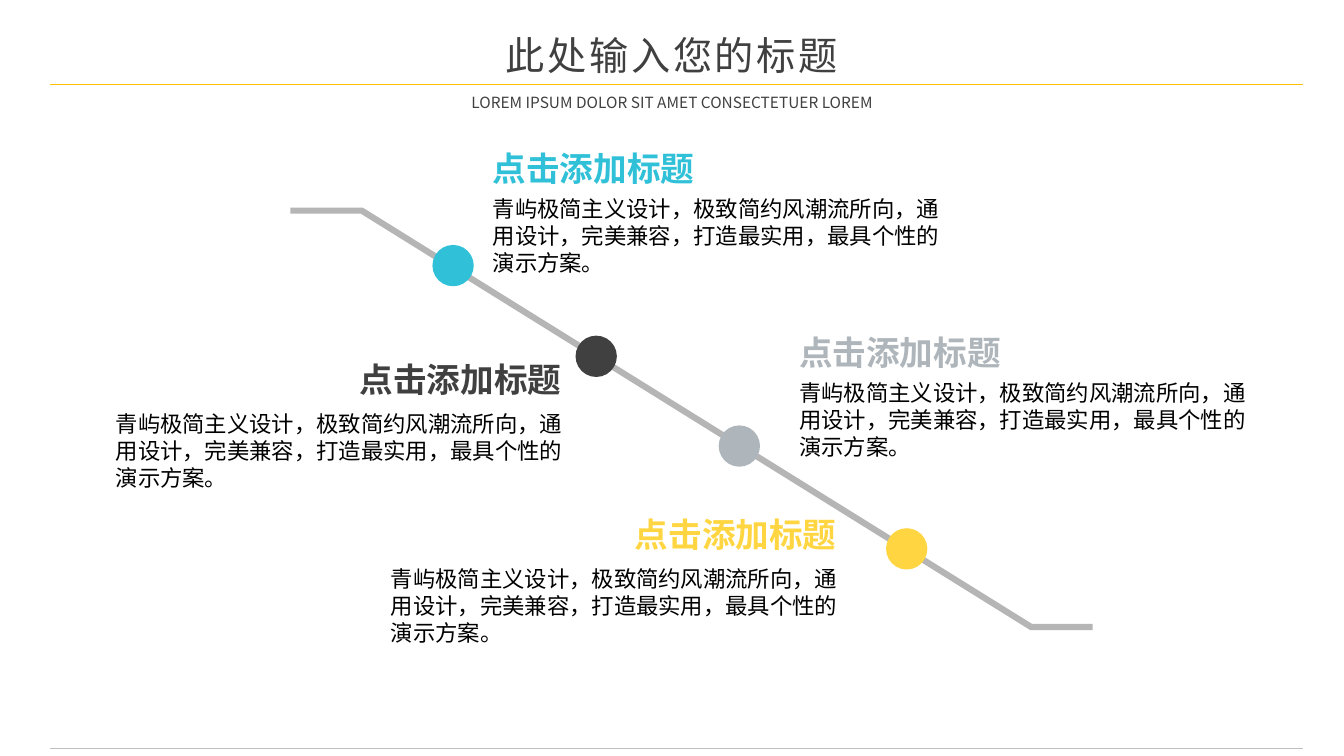
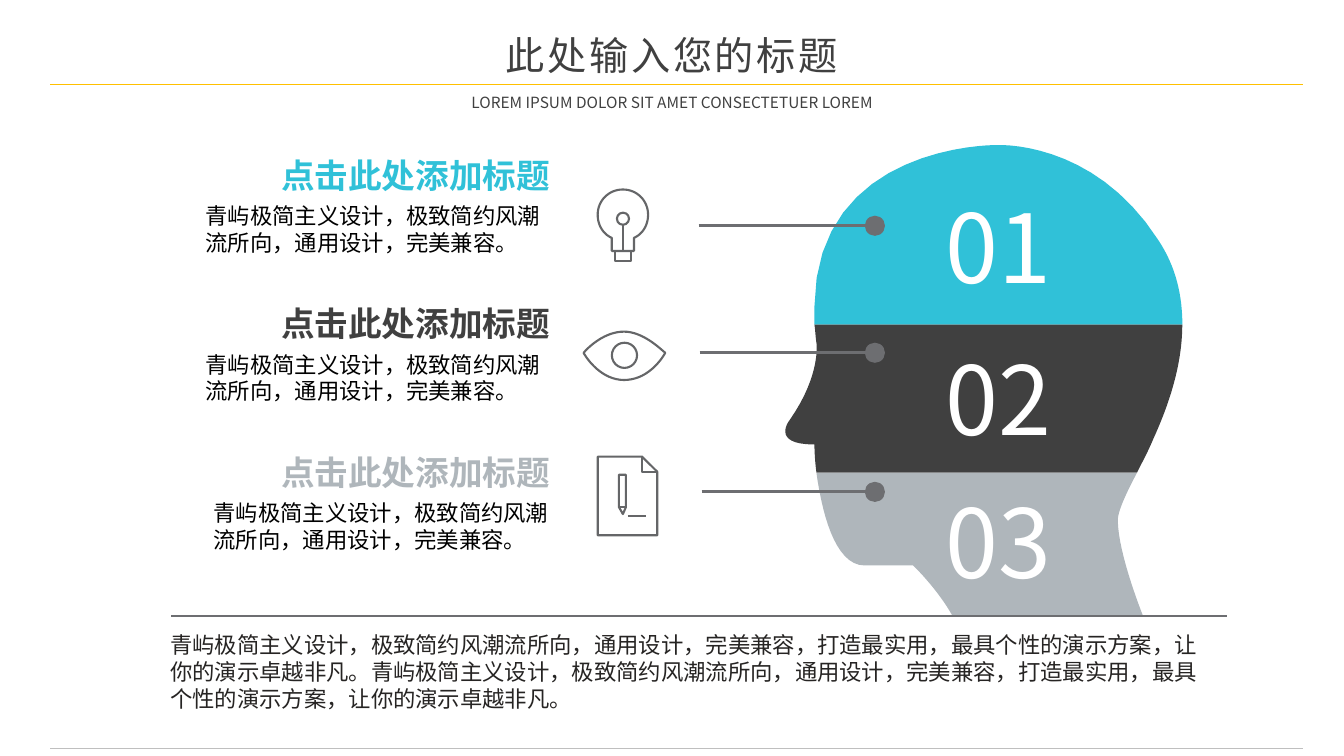
from lxml import etree
from pptx import Presentation
from pptx import util as u
from pptx.dml.color import RGBColor
from pptx.enum import shapes, text
from pptx.oxml.ns import qn

PX = 9144  # 100 px to the inch
COLORS = {
    "cyan": "30C1D8", "dark": "404040", "silver": "AFB6BB", "yellow": "FFD641",
    "amber": "FFC000", "rule": "BFBFBF", "path": "B5B5B6", "pointer": "6D6E71",
    "icon": "656668", "black": "000000", "ink": "262423", "white": "FFFFFF",
}
BODY_FONT, HEADING_FONT = "Noto Sans CJK SC", "Quicksand"
CURVE_STEPS = 16
ICON_WIDTH = 1.5


def paint(shape, fill=None, edge=None):
    """Give a shape a flat fill or a plain outline, and no shadow."""
    shape.shadow.inherit = False
    if fill:
        shape.fill.solid()
        shape.fill.fore_color.rgb = RGBColor.from_string(COLORS[fill])
    else:
        shape.fill.background()
    if edge:
        shape.line.color.rgb = RGBColor.from_string(COLORS[edge])
        shape.line.width = u.Pt(ICON_WIDTH)
    else:
        shape.line.fill.background()


def write(box, words, size, color, font=BODY_FONT, bold=False, wrap=True,
          align=text.PP_ALIGN.LEFT, spacing=0):
    """Put one formatted run into a box."""
    frame = box.text_frame
    frame.auto_size = text.MSO_AUTO_SIZE.NONE
    frame.word_wrap = wrap
    para = frame.paragraphs[0]
    para.alignment = align
    span = para.add_run()
    span.text = words
    span.font.size = u.Pt(size)
    span.font.bold = bold
    span.font.name = font
    span.font.color.rgb = RGBColor.from_string(COLORS[color])
    properties = span.font._element
    etree.SubElement(properties, qn("a:ea")).set("typeface", font)
    if spacing:
        properties.set("spc", str(spacing * 100))


deck = Presentation()
deck.slide_width, deck.slide_height = u.Emu(12192000), u.Emu(6858000)
title_only = deck.slide_layouts[5]
steps_page = deck.slides.add_slide(title_only)
head_page = deck.slides.add_slide(title_only)

lines = []     # page, x1, y1, x2, y2, color, width in points
outlines = []  # page, fill, edge, closed, start, segments (2 numbers: line, 6: curve)
ellipses = []  # page, left, top, diameter, fill, edge
texts = []     # page, (left, top, width, height), words, options

# Shared title, subtitle and rules
for page in deck.slides:
    title = page.shapes.title
    title.left, title.top, title.width, title.height = (
        n * PX for n in (447, 27, 439, 55))
    title.text_frame.vertical_anchor = text.MSO_ANCHOR.MIDDLE
    write(title, "此处输入您的标题", 28, "dark",
          align=text.PP_ALIGN.CENTER, spacing=2)
    texts.append((page, (440, 87, 454, 29),
                  "LOREM IPSUM DOLOR SIT AMET CONSECTETUER LOREM",
                  dict(size=11, color="dark", align=text.PP_ALIGN.CENTER)))
    for y, color, width in ((84, "amber", 0.75), (742, "rule", 0.5)):
        lines.append((page, 50, y, 1293, y, color, width))

# Slide 1: descending path with four stops
outlines.append((steps_page, "path", None, True, (1084, 625), [
    (1022, 625), (358, 212), (288, 212), (288, 206),
    (360, 206), (1024, 619), (1084, 619)]))
step_words = "青屿极简主义设计，极致简约风潮流所向，通用设计，完美兼容，打造最实用，最具个性的演示方案。"
steps = [  # color, stop, heading corner, body corner
    ("cyan", (429, 243), (479, 142), (479, 189)),
    ("dark", (571, 333), (347, 351), (105, 402)),
    ("silver", (713, 422), (783, 324), (783, 371)),
    ("yellow", (879, 524), (620, 505), (378, 556)),
]
for color, stop, heading_at, body_at in steps:
    ellipses.append((steps_page, *stop, 41, color, None))
    texts.append((steps_page, (*body_at, 466, 91), step_words,
                  dict(size=16, color="black")))
    texts.append((steps_page, (*heading_at, 222, 50), "点击添加标题",
                  dict(size=24, color=color, font=HEADING_FONT, bold=True, wrap=False)))

# Slide 2: head in three layers
outlines += [
    (head_page, "cyan", None, True, (1149, 238), [
        (1084, 137, 987, 144, 987, 144), (987, 144, 809, 143, 808, 304),
        (808, 310, 808, 316, 808, 322), (1173, 322),
        (1173, 294, 1167, 265, 1149, 238)]),
    (head_page, "dark", None, True, (1144, 436), [
        (1159, 403, 1173, 363, 1173, 322), (808, 322),
        (809, 328, 809, 334, 810, 340), (810, 340, 815, 371, 784, 416),
        (784, 416, 763, 441, 808, 441), (808, 441, 808, 453, 810, 469),
        (1128, 469), (1133, 459, 1139, 448, 1144, 436)]),
    (head_page, "silver", None, True, (810, 469), [
        (815, 504, 827, 561, 858, 561), (906, 561),
        (906, 561, 930, 584, 945, 611), (1134, 611),
        (1134, 611, 1109, 549, 1109, 516), (1109, 507, 1117, 490, 1128, 469)]),
]

# Slide 2: bulb, eye and document icons
outlines += [
    (head_page, None, "icon", True, (607, 236), [
        (607, 249), (629, 249), (629, 236),
        (638, 232, 643, 223, 643, 213), (643, 199, 632, 188, 618, 188),
        (604, 188, 593, 199, 593, 213), (593, 223, 598, 232, 607, 236)]),
    (head_page, None, "icon", True, (610, 249), [
        (626, 249), (626, 259), (610, 259)]),
    (head_page, None, "icon", True, (579, 350), [
        (584, 344, 600, 329, 619, 329), (638, 329, 655, 346, 660, 350),
        (655, 359, 641, 377, 619, 377), (597, 377, 582, 356, 579, 350)]),
    (head_page, None, "icon", True, (593, 453), [
        (637, 453), (652, 468), (652, 531), (593, 531)]),
    (head_page, None, "icon", False, (637, 453), [(637, 468), (652, 468)]),
    (head_page, None, "icon", True, (614, 471), [
        (621, 471), (621, 503), (618, 510), (614, 503)]),
]
ellipses += [(head_page, 612, 211, 12, None, "icon"),
             (head_page, 607, 340, 25, None, "icon")]
lines += [(head_page, 618, 223, 618, 249, "icon", ICON_WIDTH),
          (head_page, 614, 503, 621, 503, "icon", ICON_WIDTH),
          (head_page, 623, 512, 641, 512, "icon", ICON_WIDTH)]

# Slide 2: pointers, topics and numbers
topics = [  # color, pointer start, pointer y, body left, number top
    ("cyan", 693, 224, 194, 187),
    ("dark", 694, 350, 194, 338),
    ("silver", 696, 488, 202, 479),
]
for index, (color, start, y, body_left, number_top) in enumerate(topics):
    heading_top = 149 + 147 * index
    lines.append((head_page, start, y, 872, y, "pointer", 2.25))
    ellipses.append((head_page, 858, y - 10, 20, "pointer", None))
    texts.append((head_page, (body_left, heading_top + 47, 563 - body_left, 64),
                  "青屿极简主义设计，极致简约风潮流所向，通用设计，完美兼容。",
                  dict(size=16, color="black")))
    texts.append((head_page, (269, heading_top, 289, 50), "点击此处添加标题",
                  dict(size=24, color=color, font=HEADING_FONT, bold=True, wrap=False)))
    texts.append((head_page, (938, number_top, 112, 114), f"{index + 1:02}",
                  dict(size=68, color="white", wrap=False)))

# Slide 2: closing paragraph
lines.append((head_page, 170, 611, 1217, 611, "pointer", 1.5))
closing = ("青屿极简主义设计，极致简约风潮流所向，通用设计，完美兼容，"
           "打造最实用，最具个性的演示方案，让你的演示卓越非凡。")
texts.append((head_page, (159, 621, 1059, 91), closing * 2,
              dict(size=16, color="ink")))

# Draw outlines, with curves sampled as short lines
for page, fill, edge, closed, start, segments in outlines:
    points = [start]
    for segment in segments:
        if len(segment) == 2:
            points.append(segment)
            continue
        controls = [points[-1], segment[:2], segment[2:4], segment[4:]]
        for step in range(1, CURVE_STEPS + 1):
            t = step / CURVE_STEPS
            weights = ((1 - t) ** 3, 3 * t * (1 - t) ** 2, 3 * t * t * (1 - t), t ** 3)
            points.append(tuple(
                sum(w * control[axis] for w, control in zip(weights, controls))
                for axis in (0, 1)))
    scaled = [(round(x * PX), round(y * PX)) for x, y in points]
    builder = page.shapes.build_freeform(*scaled[0], scale=1.0)
    builder.add_line_segments(scaled[1:], close=closed)
    paint(builder.convert_to_shape(), fill, edge)

# Draw lines
for page, x1, y1, x2, y2, color, width in lines:
    line = page.shapes.add_connector(
        shapes.MSO_CONNECTOR.STRAIGHT, x1 * PX, y1 * PX, x2 * PX, y2 * PX)
    line.line.color.rgb = RGBColor.from_string(COLORS[color])
    line.line.width = u.Pt(width)
    etree.SubElement(line._element.spPr, qn("a:effectLst"))

# Draw ellipses
for page, left, top, diameter, fill, edge in ellipses:
    paint(page.shapes.add_shape(shapes.MSO_SHAPE.OVAL, left * PX, top * PX,
                                diameter * PX, diameter * PX), fill, edge)

# Draw texts; the large numbers sit in boxes without margins
for page, place, words, options in texts:
    box = page.shapes.add_textbox(*(n * PX for n in place))
    if options["color"] == "white":
        frame = box.text_frame
        frame.margin_left = frame.margin_right = 0
        frame.margin_top = frame.margin_bottom = 0
    write(box, words, **options)

deck.save("out.pptx")
